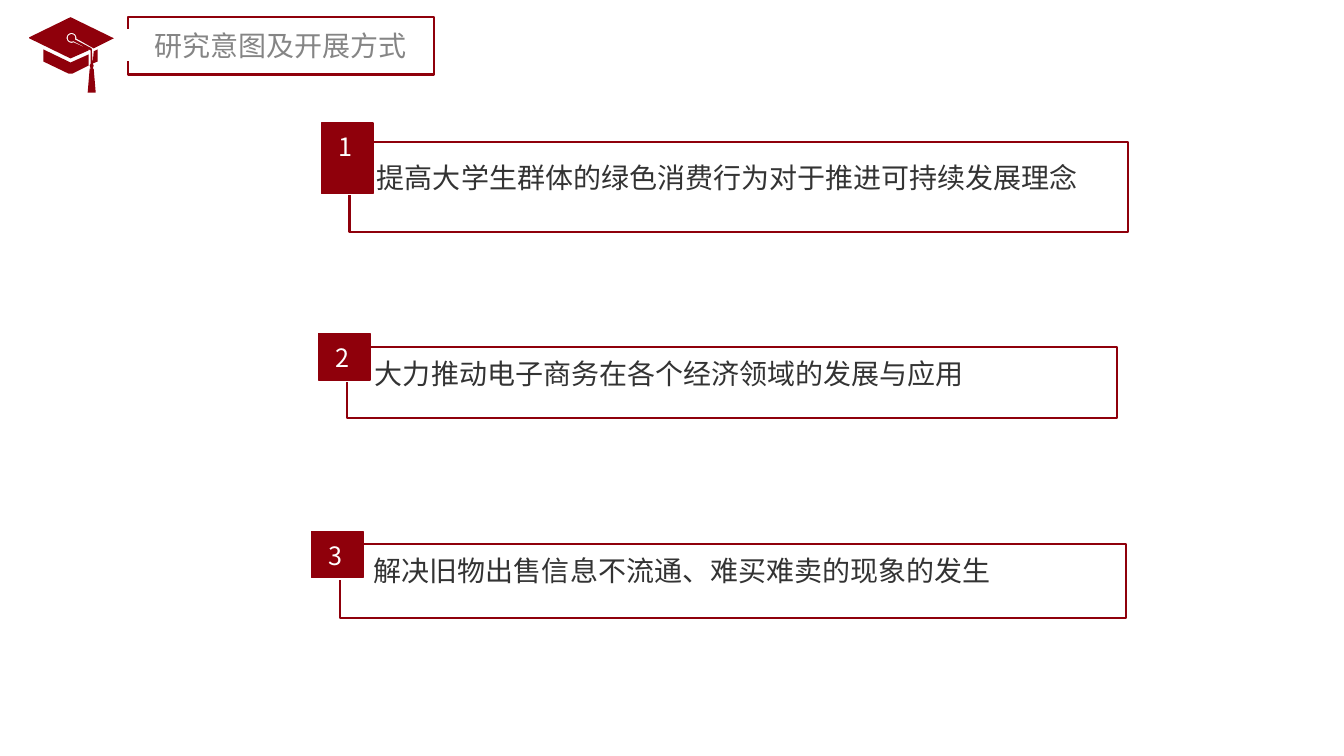
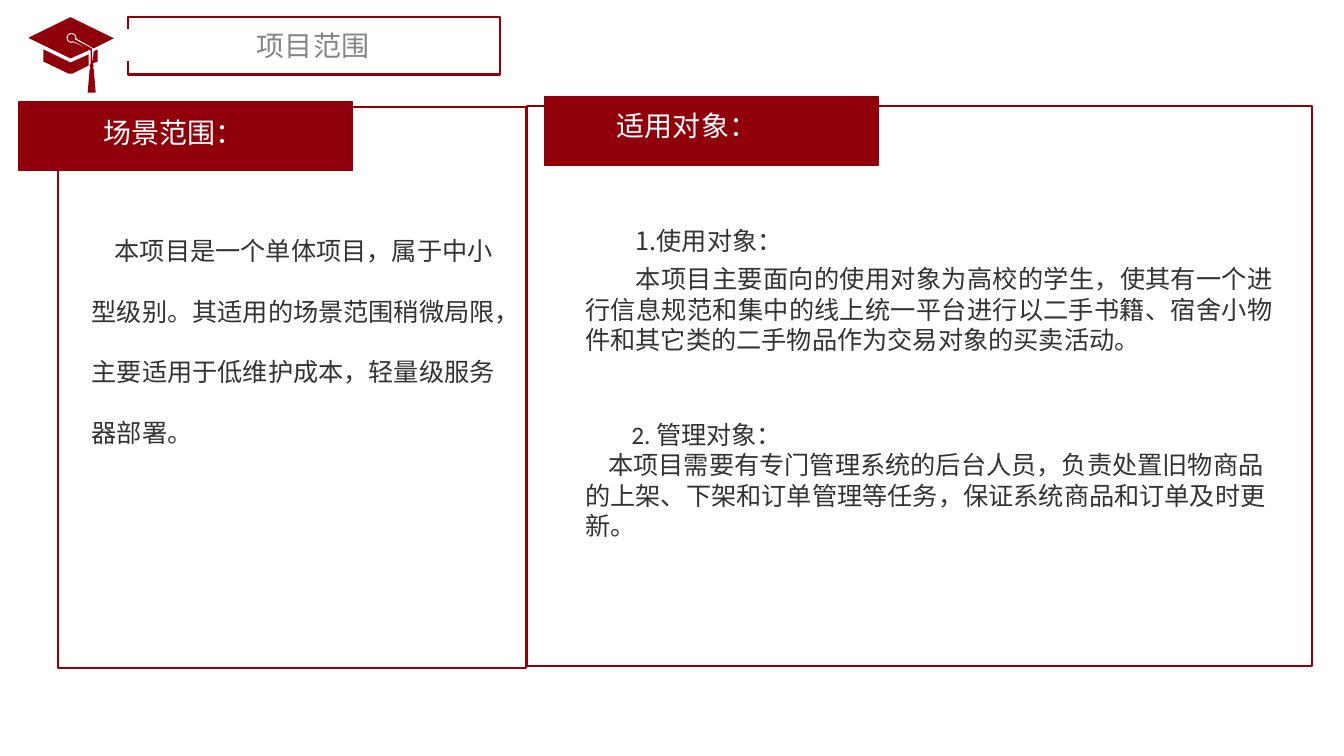
from collections import namedtuple
from dataclasses import dataclass
from math import cos, radians, sin

from lxml.etree import SubElement
from pptx import Presentation
from pptx.dml.color import RGBColor
from pptx.enum.shapes import MSO_SHAPE
from pptx.enum.text import MSO_ANCHOR, MSO_AUTO_SIZE, PP_ALIGN
from pptx.oxml.ns import qn
from pptx.util import Cm, Pt


@dataclass(frozen=True)
class Theme:
    red: RGBColor = RGBColor(0x8F, 0x00, 0x0B)
    white: RGBColor = RGBColor(0xFF, 0xFF, 0xFF)
    title_gray: RGBColor = RGBColor(0x85, 0x85, 0x85)
    ink: RGBColor = RGBColor(0x33, 0x33, 0x33)
    font: str = "Noto Sans CJK SC"
    number_font: str = "Calibri"
    heading: Pt = Pt(20)
    body: Pt = Pt(18)
    heading_line: Pt = Pt(22)
    frame_line: Pt = Pt(1.5)
    fill_line: Pt = Pt(1)


THEME = Theme()
INSET = (0.25, 0.13, 0.25, 0.13)
Paragraph = namedtuple("Paragraph", "text indent number", defaults=(0, ""))

# Boxes are (left, top, width, height) in centimetres.
GOALS_TITLE = {"text": "研究意图及开展方式", "width": 7.72, "gap_width": 0.46}
GOALS = [
    {"text": "提高大学生群体的绿色消费行为对于推进可持续发展理念",
     "frame": (8.81, 3.58, 19.61, 2.26), "badge_rise": 0.48,
     "badge_height": 1.78, "inset": (0.69, 0.46, 0.25, 0.13)},
    {"text": "大力推动电子商务在各个经济领域的发展与应用",
     "frame": (8.74, 8.74, 19.41, 1.8), "badge_rise": 0.33,
     "badge_height": 1.17, "inset": (0.71, 0.25, 0.25, 0.13)},
    {"text": "解决旧物出售信息不流通、难买难卖的现象的发生",
     "frame": (8.56, 13.72, 19.81, 1.85), "badge_rise": 0.33,
     "badge_height": 1.17, "inset": (0.86, 0.23, 0.25, 0.13)},
]

SCOPE_TITLE = {"text": "项目范围", "width": 9.37, "gap_width": 0.53}
PANELS = [
    {"heading": "场景范围：", "frame": (1.47, 2.69, 11.79, 14.15),
     "banner": (0.48, 2.57, 8.41, 1.73), "inset": (0, 0.41, 0.61, 0)},
    {"heading": "适用对象：", "frame": (13.28, 2.67, 19.79, 14.12),
     "banner": (13.72, 2.44, 8.41, 1.73), "inset": (0, 0.36, 1.22, 0)},
]
SCOPE_TEXTS = [
    {"box": (2.06, 5.05, 10.87, 6.17), "format": {"line_spacing": 2.0},
     "paragraphs": [Paragraph(
         "本项目是一个单体项目，属于中小型级别。其适用的场景范围稍微局限，"
         "主要适用于低维护成本，轻量级服务器部署。", 0.58)]},
    {"box": (14.5, 5.54, 17.83, 3.56),
     "format": {"align": PP_ALIGN.JUSTIFY, "space_after": Pt(6)},
     "paragraphs": [
         Paragraph("1.使用对象：", 1.27),
         Paragraph("本项目主要面向的使用对象为高校的学生，使其有一个进行信息规范和"
                   "集中的线上统一平台进行以二手书籍、宿舍小物件和其它类的二手物品"
                   "作为交易对象的买卖活动。", 1.27)]},
    {"box": (14.5, 10.44, 17.83, 3.33), "format": {},
     "paragraphs": [
         Paragraph("管理对象：", 1.16, "2. "),
         Paragraph("本项目需要有专门管理系统的后台人员，负责处置旧物商品的上架、"
                   "下架和订单管理等任务，保证系统商品和订单及时更新。", 0.58)]},
]


def arc(radius, start, end, steps=24):
    """Points on a circle around the button of the cap, angles in degrees."""
    angles = [radians(start + (end - start) * step / steps) for step in range(steps + 1)]
    return [(71 + radius * cos(angle), 37.6 + radius * sin(angle)) for angle in angles]


# Outlines in hundredths of an inch.
CAP_OUTLINES = [
    [(92, 63), (97, 61), (97, 49), (93, 51)],
    [(43, 49), (43, 61), (68, 73), (72, 73), (88, 65), (88, 54), (70, 62)],
    [(91, 48), (74, 39), *arc(3.7, 8, -300), (90, 50)],
    [(113, 38), (70, 17), (29, 37), (29, 38), (70, 58), (88, 50), (88, 49),
     *arc(4.9, 65, 368), (93, 48)],
    [(91, 48), (92, 63), (93, 65), (92, 68), (93, 68), (95, 92), (87, 92),
     (89, 68), (90, 68), (89, 65), (90, 63), (90, 50)],
]


def place(shape, box):
    shape.left, shape.top, shape.width, shape.height = map(Cm, box)


def write_text(shape, paragraphs, *, size=THEME.body, color=THEME.ink,
               align=PP_ALIGN.LEFT, inset=INSET, line_spacing=1.0, space_after=Pt(0)):
    frame = shape.text_frame
    frame.word_wrap = True
    frame.auto_size = MSO_AUTO_SIZE.NONE
    frame.vertical_anchor = MSO_ANCHOR.TOP
    (frame.margin_left, frame.margin_top,
     frame.margin_right, frame.margin_bottom) = map(Cm, inset)
    for index, content in enumerate(paragraphs):
        paragraph = frame.add_paragraph() if index else frame.paragraphs[0]
        paragraph.alignment = align
        paragraph.line_spacing = line_spacing
        paragraph.space_before = Pt(0)
        paragraph.space_after = space_after
        paragraph._p.get_or_add_pPr().set("indent", str(Cm(content.indent)))
        for text, font in ((content.number, THEME.number_font), (content.text, THEME.font)):
            if not text:
                continue
            run = paragraph.add_run()
            run.text = text
            run.font.name = font
            run.font.size = size
            run.font.color.rgb = color
            SubElement(run.font._element, qn("a:ea"), typeface=font)


def add_rectangle(slide, box, *, fill=None, line=THEME.red):
    shape = slide.shapes.add_shape(MSO_SHAPE.RECTANGLE, *map(Cm, box))
    shape.shadow.inherit = False
    if fill is None:
        shape.fill.background()
    else:
        shape.fill.solid()
        shape.fill.fore_color.rgb = fill
    shape.line.color.rgb = line
    shape.line.width = THEME.frame_line if fill is None else THEME.fill_line
    return shape


def add_cap(slide):
    outlines = [[(Cm(x * 0.0254), Cm(y * 0.0254)) for x, y in outline]
                for outline in CAP_OUTLINES]
    builder = slide.shapes.build_freeform(*outlines[0][0])
    for index, (start, *rest) in enumerate(outlines):
        if index:
            builder.move_to(*start)
        builder.add_line_segments(rest, close=True)
    cap = builder.convert_to_shape()
    cap.shadow.inherit = False
    cap.fill.solid()
    cap.fill.fore_color.rgb = THEME.red
    cap.line.fill.background()


def add_titled_slide(presentation, text, width, gap_width):
    slide = presentation.slides.add_slide(presentation.slide_layouts[5])
    title = slide.shapes.title
    place(title, (3.18, 0.58, width + 0.05, 1.12))
    write_text(title, [Paragraph(text)], size=THEME.heading,
               color=THEME.title_gray, align=PP_ALIGN.CENTER)
    add_cap(slide)
    add_rectangle(slide, (3.23, 0.43, width, 1.45))
    add_rectangle(slide, (3, 0.74, gap_width, 0.79), fill=THEME.white, line=THEME.white)
    return slide


def add_goal(slide, number, goal):
    left, top, _, _ = goal["frame"]
    frame = add_rectangle(slide, goal["frame"])
    write_text(frame, [Paragraph(goal["text"])], size=THEME.heading, inset=goal["inset"])
    badge_left, badge_top = left - 0.71, top - goal["badge_rise"]
    size = (1.3, goal["badge_height"])
    add_rectangle(slide, (badge_left - 0.03, badge_top + 0.03, *size),
                  fill=THEME.white, line=THEME.white)
    badge = add_rectangle(slide, (badge_left, badge_top, *size), fill=THEME.red)
    write_text(badge, [Paragraph(str(number))], color=THEME.white,
               align=PP_ALIGN.CENTER, inset=(0, 0.22, 0.08, 0))


def add_panel(slide, panel):
    add_rectangle(slide, panel["frame"])
    banner = add_rectangle(slide, panel["banner"], fill=THEME.red)
    write_text(banner, [Paragraph(panel["heading"])], size=THEME.heading,
               color=THEME.white, align=PP_ALIGN.CENTER, inset=panel["inset"],
               line_spacing=THEME.heading_line)


def main():
    presentation = Presentation()
    presentation.slide_width, presentation.slide_height = Cm(33.87), Cm(19.05)

    goals_slide = add_titled_slide(presentation, **GOALS_TITLE)
    for number, goal in enumerate(GOALS, start=1):
        add_goal(goals_slide, number, goal)

    scope_slide = add_titled_slide(presentation, **SCOPE_TITLE)
    for panel in PANELS:
        add_panel(scope_slide, panel)
    for item in SCOPE_TEXTS:
        text_box = scope_slide.shapes.add_textbox(*map(Cm, item["box"]))
        write_text(text_box, item["paragraphs"], **item["format"])

    presentation.save("out.pptx")


if __name__ == "__main__":
    main()
